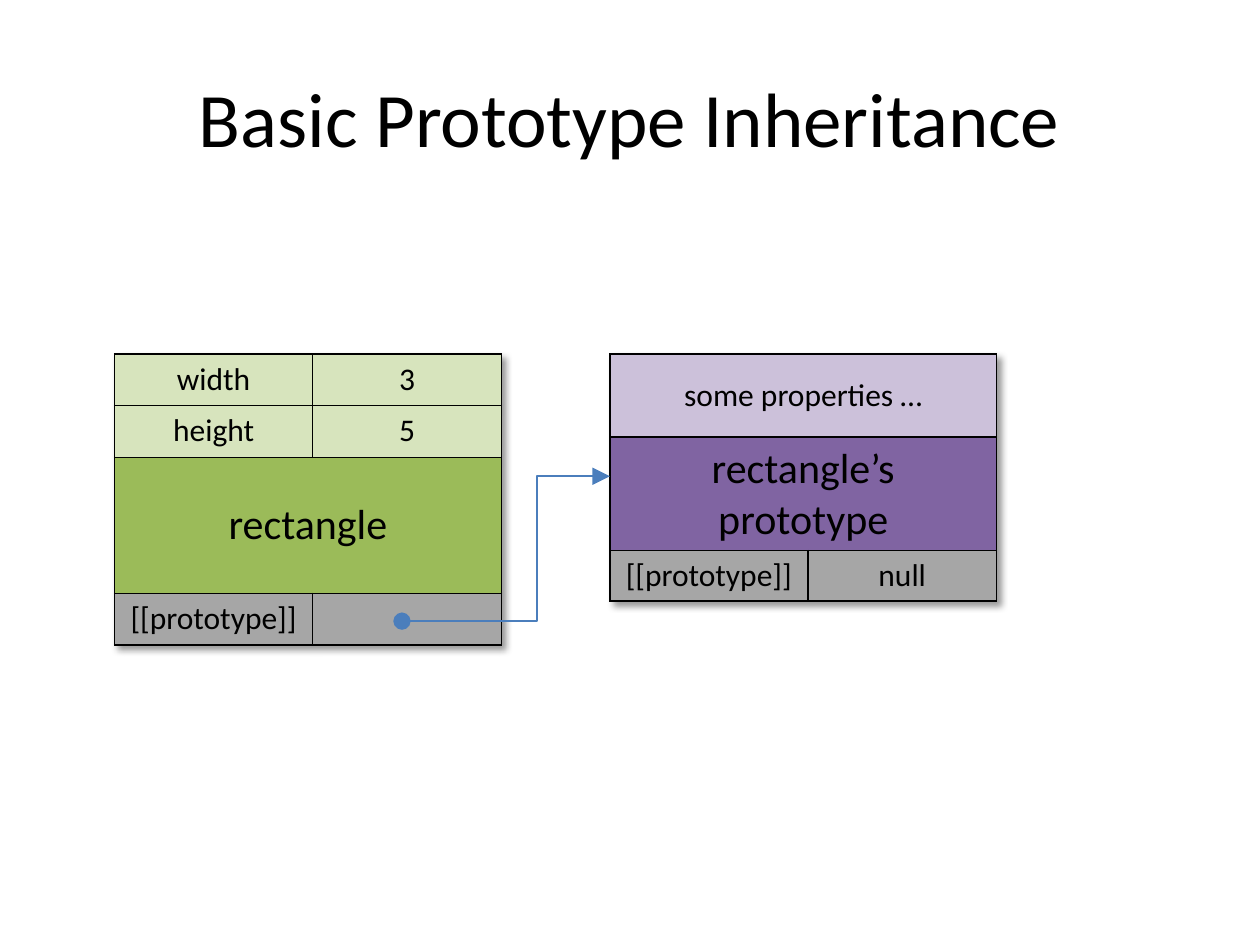
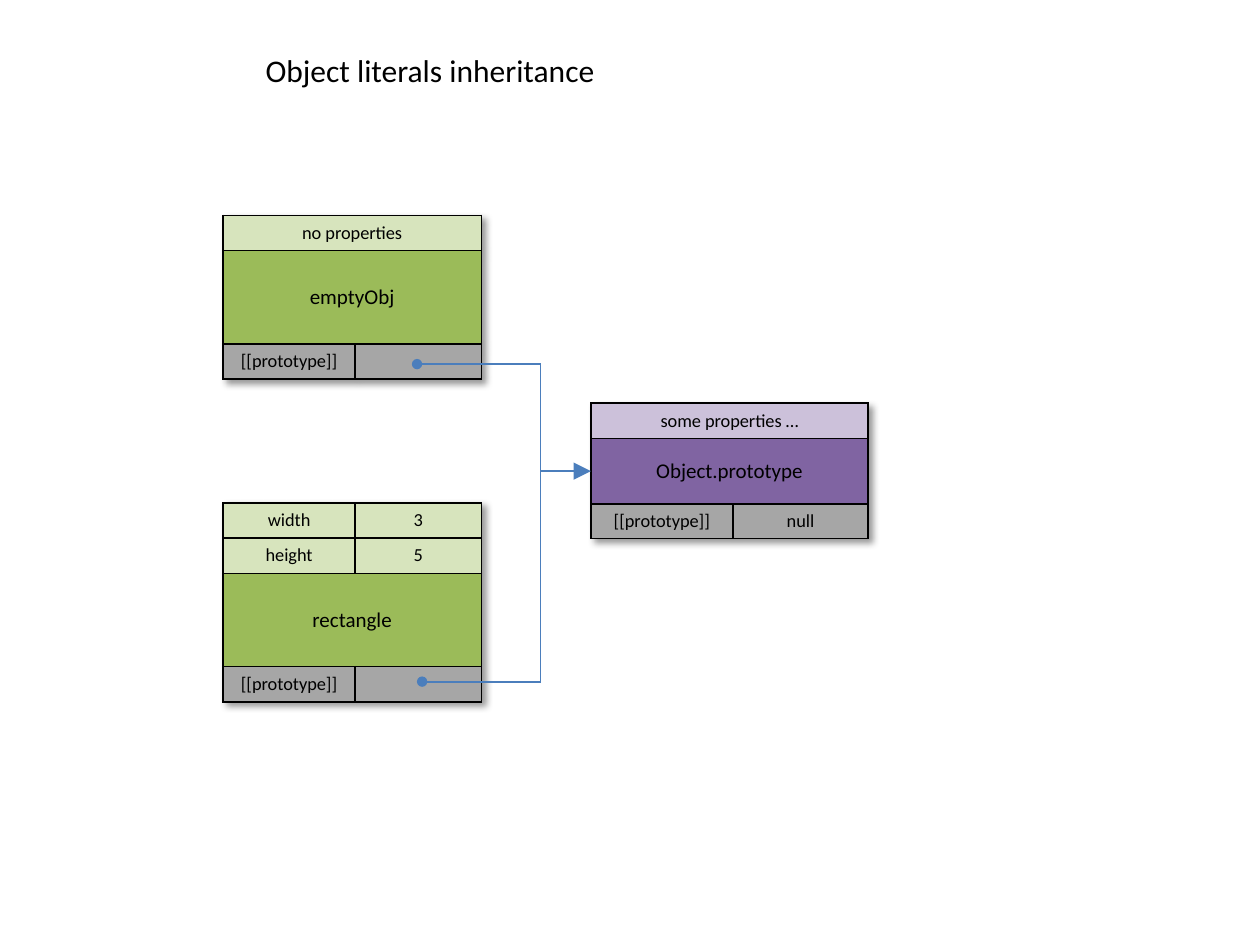
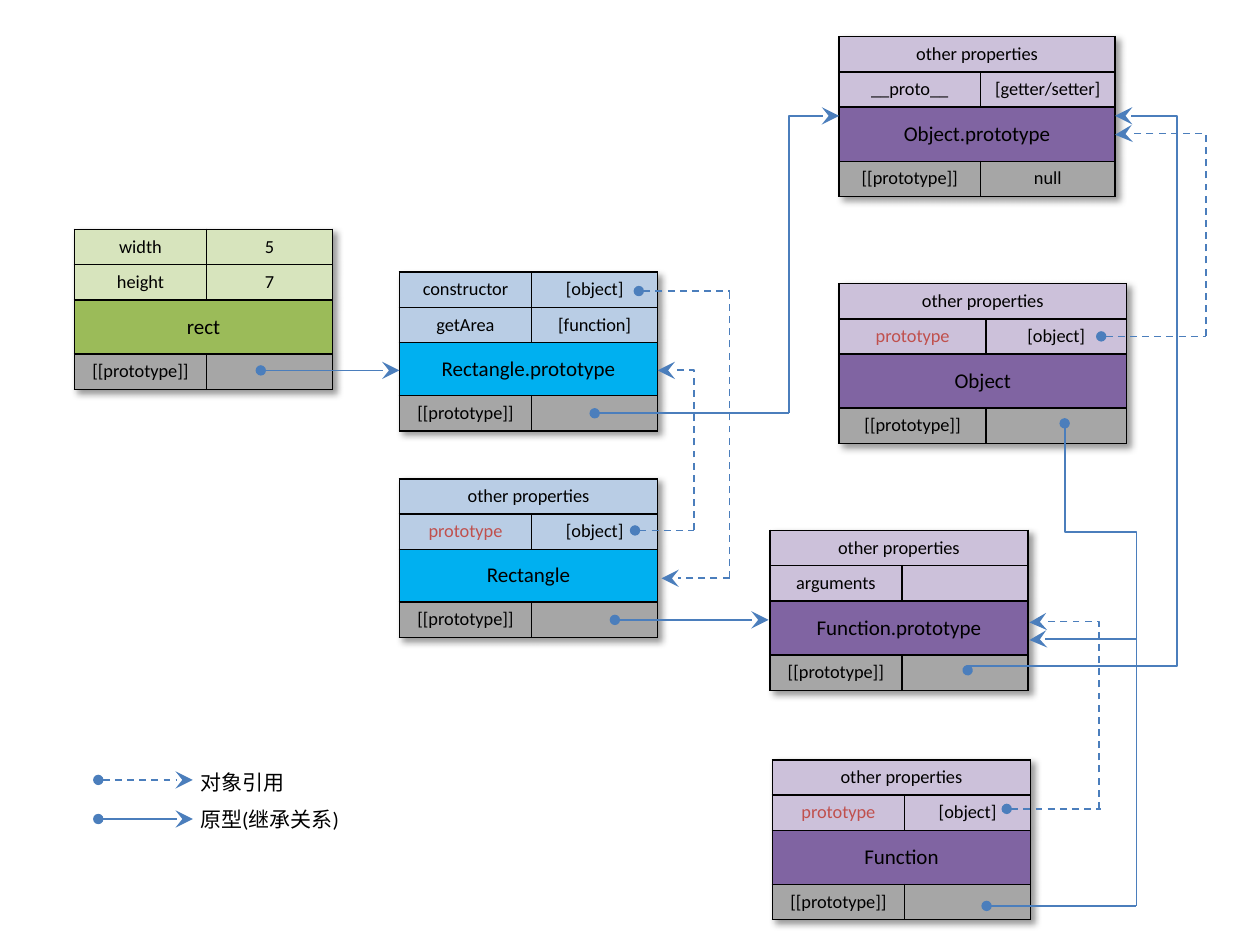
import pptx
import pptx.util
import pptx.dml.color
import pptx.enum.dml
import pptx.enum.shapes
import pptx.enum.text
import pptx.oxml
import pptx.oxml.ns
import lxml.etree

COLS, ROWS = 10, 7.5  # the slide as a grid of one-inch cells
SPLIT = 0.512  # share of a box taken by its key column
FONT = "Calibri"
COLORS = {
    "ink": "000000", "line": "4B7EBC", "foot": "A6A6A6", "key": "C0504D",
    "green": ("D7E4BD", "9BBB59"),
    "purple": ("CCC1DA", "8064A2"),
    "blue": ("B9CDE5", "00B0F0"),
}
SMALL, LARGE = (10.5, 12), (18, 24)  # point sizes of rows and names
ALIGN = pptx.enum.text.PP_ALIGN
ANCHOR = pptx.enum.text.MSO_ANCHOR
LINK = pptx.enum.shapes.MSO_CONNECTOR


def cell(n):
    """Turn grid cells into slide units."""
    return pptx.util.Inches(n)


def rgb(code):
    """Make a colour from a hex string."""
    return pptx.dml.color.RGBColor.from_string(code)


def child(root, tag, **attrs):
    """Append a drawing element to root."""
    node = lxml.etree.SubElement(root, pptx.oxml.ns.qn("a:" + tag))
    for key, value in attrs.items():
        node.set(key, str(value))
    return node


def write(frame, text, size, align, color=COLORS["ink"]):
    """Write one run in the first paragraph of a frame."""
    para = frame.paragraphs[0]
    para.alignment = align
    if not text:
        child(para._p, "endParaRPr", sz=int(size * 100))
        return
    run = para.add_run()
    run.text = text
    run.font.size = pptx.util.Pt(size)
    run.font.name = FONT
    run.font.color.rgb = rgb(color)


def label(slide, x, y, w, h, text, size, align):
    """Add a text box that fits its single line."""
    frame = slide.shapes.add_textbox(cell(x), cell(y), cell(w), cell(h)).text_frame
    frame.word_wrap = False
    frame.auto_size = pptx.enum.text.MSO_AUTO_SIZE.SHAPE_TO_FIT_TEXT
    write(frame, text, size, align)


def title(slide, text):
    """Add the large centred title."""
    frame = slide.shapes.add_textbox(cell(0.5), cell(0.3), cell(COLS - 1), cell(1.25)).text_frame
    frame.word_wrap = True
    frame.vertical_anchor = ANCHOR.MIDDLE
    write(frame, text, 44, ALIGN.CENTER)


def shade(table):
    """Give a table a soft shadow to the lower right."""
    root = table._tbl.tblPr
    glow = child(root, "effectLst")
    drop = child(glow, "outerShdw", blurRad=50800, dist=38100, dir=2700000,
                 algn="tl", rotWithShape=0)
    child(child(drop, "prstClr", val="black"), "alpha", val=40000)
    root.insert(0, glow)


def paint(spot, color):
    """Border a table cell and fill it."""
    root = spot._tc.get_or_add_tcPr()
    for side in ("lnL", "lnR", "lnT", "lnB"):
        edge = child(root, side, w=12700)
        child(child(edge, "solidFill"), "srgbClr", val=COLORS["ink"])
    spot.fill.solid()
    spot.fill.fore_color.rgb = rgb(color)


def box(slide, x, y, w, hue, props, name, foot="", tall=0.43, row=0.28,
        base=0.28, sizes=SMALL):
    """Draw an object: property rows, its name, and its prototype slot."""
    pale, deep = COLORS[hue]
    rows = [*props, (name,), ("[[prototype]]", foot)]
    fills = [pale] * len(props) + [deep, COLORS["foot"]]
    highs = [row] * len(props) + [tall, base]
    table = slide.shapes.add_table(len(rows), 2, cell(x), cell(y), cell(w),
                                   cell(sum(highs))).table
    table.first_row = table.horz_banding = False
    shade(table)
    for col, share in zip(table.columns, (SPLIT, 1 - SPLIT)):
        col.width = cell(w * share)
    for r, (texts, fill, high) in enumerate(zip(rows, fills, highs)):
        table.rows[r].height = cell(high)
        for c in range(2):
            paint(table.cell(r, c), fill)
        if len(texts) == 1:
            table.cell(r, 0).merge(table.cell(r, 1))
            table.cell(r, 0).vertical_anchor = ANCHOR.MIDDLE
        size = sizes[1] if r == len(props) else sizes[0]
        for c, text in enumerate(texts):
            color = COLORS["key" if text == "prototype" else "ink"]
            write(table.cell(r, c).text_frame, text, size, ALIGN.CENTER, color)


def style(wire, head, tail, dash, dot):
    """Set the line, arrowheads and lack of shadow of a connector."""
    wire.line.color.rgb = rgb(COLORS["line"])
    wire.line.width = pptx.util.Pt(1)
    if dash:
        wire.line.dash_style = pptx.enum.dml.MSO_LINE.DASH
    root = wire._element.spPr
    edge = root.find(pptx.oxml.ns.qn("a:ln"))
    if head:
        child(edge, "headEnd", type=head, w=dot, len=dot)
    if tail:
        child(edge, "tailEnd", type=tail, w="lg", len="lg")
    child(root, "effectLst")


def line(slide, start, end, head=None, tail=None, dash=False):
    """Draw a straight connector."""
    wire = slide.shapes.add_connector(LINK.STRAIGHT, *map(cell, start + end))
    style(wire, head, tail, dash, "med")


def bend(slide, start, end, adj=(), head=None, tail=None, dash=False,
         dot="med", rise=True):
    """Draw a bent connector, leaving upright if rise; adj lists its turns."""
    wire = slide.shapes.add_connector(LINK.ELBOW, *map(cell, start + end))
    root = wire._element.spPr
    geom = root.find(pptx.oxml.ns.qn("a:prstGeom"))
    geom.set("prst", f"bentConnector{len(adj) + 2}")
    turns = geom.find(pptx.oxml.ns.qn("a:avLst"))
    if turns is None:
        turns = child(geom, "avLst")
    for n, share in enumerate(adj, 1):
        child(turns, "gd", name=f"adj{n}", fmla=f"val {round(share * 100000)}")
    if rise:
        dx, dy = end[0] - start[0], end[1] - start[1]
        w, h = abs(dy), abs(dx)
        wire.left = cell((start[0] + end[0] - w) / 2)
        wire.top = cell((start[1] + end[1] - h) / 2)
        wire.width, wire.height = cell(w), cell(h)
        same = (dx > 0) == (dy > 0)
        frame = root.find(pptx.oxml.ns.qn("a:xfrm"))
        frame.set("rot", str((270 if same else 90) * 60000))
        frame.set("flipH", str(int((dy > 0) == same)))
        frame.set("flipV", str(int((dx < 0) == same)))
    style(wire, head, tail, dash, dot)


def basic(slide):
    """Build the slide on basic inheritance."""
    title(slide, "Basic Prototype Inheritance")
    box(slide, 0.91, 2.81, 3.07, "green", [("width", "3"), ("height", "5")],
        "rectangle", tall=1.08, row=0.41, base=0.41, sizes=LARGE)
    box(slide, 4.84, 2.81, 3.07, "purple", [("some properties …",)],
        "rectangle’s prototype", "null", tall=0.87, row=0.66, base=0.37, sizes=LARGE)
    bend(slide, (3.19, 4.93), (4.84, 3.78), [0.65], "oval", "triangle",
         dot="lg", rise=False)


def literal(slide):
    """Build the slide on object literals."""
    trunk, mid, low, high = 4.29, 3.74, 5.41, 2.89
    box(slide, 1.77, 3.99, 2.05, "green", [("width", "3"), ("height", "5")],
        "rectangle", tall=0.74)
    box(slide, 4.69, 3.2, 2.2, "purple", [("some properties …",)],
        "Object.prototype", "null", tall=0.52, base=0.24)
    box(slide, 1.77, 1.71, 2.05, "green", [("no properties",)], "emptyObj", tall=0.74)
    bend(slide, (trunk, low), (4.69, mid), tail="triangle")
    line(slide, (3.35, low), (trunk, low), "oval")
    line(slide, (3.31, high), (trunk, high), "oval")
    line(slide, (trunk, mid), (trunk, high))
    label(slide, 2.01, 0.36, 2.84, 0.4, "Object literals inheritance", 18, ALIGN.LEFT)


def chain(slide):
    """Build the slide on the whole prototype chain."""
    other, proto = ("other properties",), ("prototype", "[object]")
    box(slide, 0.59, 1.82, 2.05, "green", [("width", "5"), ("height", "7")], "rect")
    box(slide, 3.17, 3.8, 2.05, "blue", [other, proto], "Rectangle", tall=0.42)
    box(slide, 3.17, 2.16, 2.05, "blue",
        [("constructor", "[object]"), ("getArea", "[function]")],
        "Rectangle.prototype", tall=0.42)
    box(slide, 6.11, 4.21, 2.05, "purple", [other, ("arguments", "")], "Function.prototype")
    box(slide, 6.13, 6.03, 2.05, "purple", [other, proto], "Function")
    box(slide, 6.66, 0.29, 2.19, "purple", [other, ("__proto__", "[getter/setter]")],
        "Object.prototype", "null")
    box(slide, 6.66, 2.25, 2.28, "purple", [other, proto], "Object")

    # Prototype links are solid.
    for start, end in (((2.07, 2.94), (3.17, 2.94)), ((4.88, 4.92), (6.1, 4.92))):
        line(slide, start, end, "oval", "stealth")
    line(slide, (4.72, 3.28), (6.26, 3.28), "oval")
    bend(slide, (6.26, 3.28), (6.66, 0.92), tail="stealth")
    bend(slide, (7.68, 5.32), (8.85, 0.92), [0.007, 1.42], "oval", "stealth")
    line(slide, (7.83, 7.19), (9.02, 7.19), "oval")
    bend(slide, (9.02, 7.19), (8.17, 5.08), [1.004], tail="stealth")
    bend(slide, (8.45, 3.36), (9.02, 5.08), [0.5], "oval")

    # Object references are dashed.
    for x, y, far in ((5.04, 4.21, 5.51), (5.07, 2.31, 5.79),
                      (7.99, 6.42, 8.74), (8.74, 2.67, 9.57)):
        line(slide, (x, y), (far, y), "oval", dash=True)
    for start, end, adj in (((5.51, 4.21), (5.22, 2.94), []),
                            ((8.72, 6.42), (8.17, 4.94), [1.005]),
                            ((9.57, 2.67), (8.85, 1.07), [1.006])):
        bend(slide, start, end, adj, tail="stealth", dash=True)
    line(slide, (5.79, 4.59), (5.79, 2.31), dash=True)
    line(slide, (5.79, 4.59), (5.25, 4.59), tail="stealth", dash=True)

    # The legend names both kinds.
    for y, dash, top, w, text in ((6.19, True, 6.06, 0.88, "对象引用"),
                                  (6.5, False, 6.35, 1.31, "原型(继承关系)")):
        line(slide, (0.78, y), (1.53, y), "oval", "stealth", dash)
        label(slide, 1.49, top, w, 0.3, text, 12, ALIGN.JUSTIFY)


def main():
    """Build and save the deck."""
    deck = pptx.Presentation()
    deck.slide_width, deck.slide_height = cell(COLS), cell(ROWS)
    blank = deck.slide_layouts[6]
    for build in (basic, literal, chain):
        build(deck.slides.add_slide(blank))
    deck.save("out.pptx")


main()
